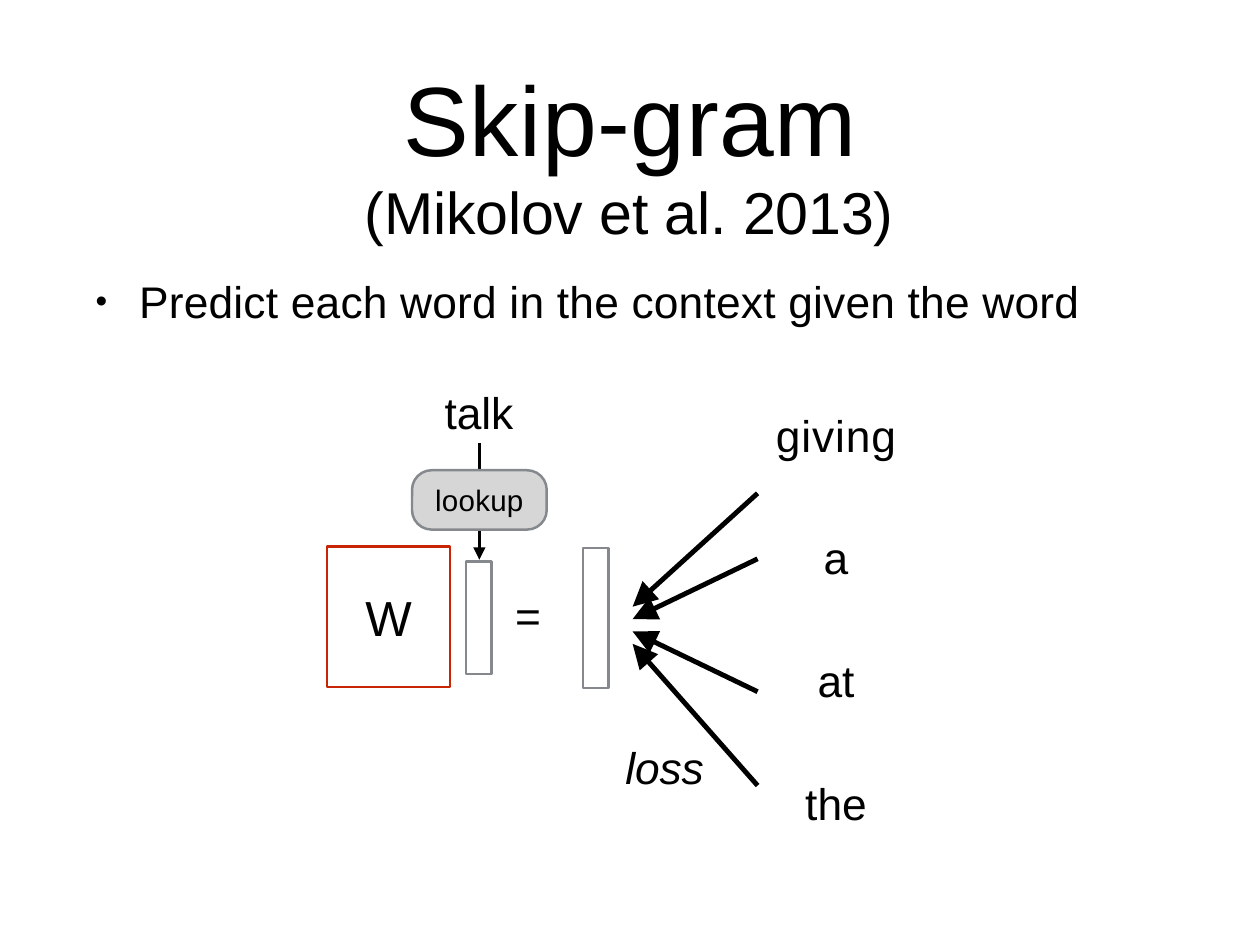
from dataclasses import dataclass

import pptx
import pptx.util
import pptx.dml.color
import pptx.enum.shapes
import pptx.enum.text
import pptx.oxml.ns
from lxml import etree
from pptx.util import Inches


@dataclass(frozen=True)
class Theme:
    font: str = "Arial"
    ink: str = "000000"
    grey: str = "85888D"
    pale: str = "D6D6D6"
    red: str = "C82506"
    white: str = "FFFFFF"
    title: int = 80
    citation: int = 48
    body: int = 36
    matrix: int = 40
    step: int = 24
    lead: float = 0.09
    thin: int = 2
    thick: int = 4


THEME = Theme()


def color(value):
    return pptx.dml.color.RGBColor.from_string(value)


def place(shape, left, top, width, height):
    shape.left, shape.top = Inches(left), Inches(top)
    shape.width, shape.height = Inches(width), Inches(height)


def write(shape, text, size, spacing=0, italic=False, centered=True, middle=False):
    frame = shape.text_frame
    frame.text = text
    frame.auto_size = pptx.enum.text.MSO_AUTO_SIZE.NONE
    frame.margin_left = frame.margin_right = frame.margin_bottom = 0
    frame.margin_top = 0 if middle else pptx.util.Pt(size * THEME.lead)
    anchors = pptx.enum.text.MSO_ANCHOR
    frame.vertical_anchor = anchors.MIDDLE if middle else anchors.TOP
    paragraph = frame.paragraphs[0]
    alignments = pptx.enum.text.PP_ALIGN
    paragraph.alignment = alignments.CENTER if centered else alignments.LEFT
    paragraph.space_before = pptx.util.Pt(0)
    run = paragraph.runs[0]
    run.font.name = THEME.font
    run.font.size = pptx.util.Pt(size)
    run.font.italic = italic
    run.font.color.rgb = color(THEME.ink)
    run._r.get_or_add_rPr().set("spc", str(round(spacing * 100)))
    return paragraph


def add_label(slide, text, box, size=THEME.body, **style):
    label = slide.shapes.add_textbox(*map(Inches, box))
    write(label, text, size, **style)


def add_bullet_line(placeholder, text):
    paragraph = write(placeholder, text, THEME.body, spacing=0.2, centered=False)
    properties = paragraph._p.get_or_add_pPr()
    properties.set("marL", str(Inches(0.49)))
    properties.set("indent", str(-Inches(0.49)))
    for tag, name, value in (("a:buSzPct", "val", "75000"),
                             ("a:buFont", "typeface", THEME.font),
                             ("a:buChar", "char", "•")):
        etree.SubElement(properties, pptx.oxml.ns.qn(tag)).set(name, value)


def add_block(slide, box, outline, fill=None, rounding=None):
    kinds = pptx.enum.shapes.MSO_SHAPE
    kind = kinds.ROUNDED_RECTANGLE if rounding else kinds.RECTANGLE
    block = slide.shapes.add_shape(kind, *map(Inches, box))
    block.shadow.inherit = False
    if rounding:
        block.adjustments[0] = rounding
    if fill:
        block.fill.solid()
        block.fill.fore_color.rgb = color(fill)
    else:
        block.fill.background()
    block.line.color.rgb = color(outline)
    block.line.width = pptx.util.Pt(THEME.thin)
    return block


def add_arrow(slide, start, end, weight):
    arrow = slide.shapes.add_connector(
        pptx.enum.shapes.MSO_CONNECTOR.STRAIGHT, *map(Inches, (*start, *end)))
    arrow.line.color.rgb = color(THEME.ink)
    arrow.line.width = pptx.util.Pt(weight)
    head = etree.SubElement(arrow.line._get_or_add_ln(), pptx.oxml.ns.qn("a:tailEnd"))
    for name, value in (("type", "triangle"), ("w", "lg"), ("len", "lg")):
        head.set(name, value)
    etree.SubElement(arrow._element.spPr, pptx.oxml.ns.qn("a:effectLst"))


def add_lookup(slide):
    add_label(slide, "talk", (5, 4.31, 0.81, 0.63), spacing=-0.1)
    add_arrow(slide, (5.41, 5), (5.41, 6.32), THEME.thin)
    lookup = add_block(slide, (4.65, 5.31, 1.52, 0.67), THEME.grey, THEME.pale, 0.33)
    write(lookup, "lookup", THEME.step, spacing=0.2, middle=True)


def add_product(slide):
    matrix = add_block(slide, (3.69, 6.17, 1.39, 1.59), THEME.red, THEME.white)
    write(matrix, "W", THEME.matrix, middle=True)
    add_block(slide, (5.26, 6.34, 0.29, 1.27), THEME.grey)
    add_label(slide, "=", (5.78, 6.6, 0.36, 0.63))
    add_block(slide, (6.58, 6.19, 0.29, 1.58), THEME.grey)


def add_context(slide):
    context = (("giving", 0.7, 5.57), ("a", 0, 6.31), ("at", 0, 7.81), ("the", 0, 8.87))
    for index, (word, spacing, arrow_top) in enumerate(context):
        add_label(slide, word, (8.74, 4.56 + 1.387 * index, 1.39, 0.63), spacing=spacing)
        add_arrow(slide, (8.55, arrow_top), (7.14, 6.85 + 0.14 * index), THEME.thick)
    add_label(slide, "loss", (7.04, 8.31, 0.92, 0.63), italic=True, spacing=-0.1)


def main():
    deck = pptx.Presentation()
    deck.slide_width, deck.slide_height = Inches(14.22), Inches(10.67)
    slide = deck.slides.add_slide(deck.slide_layouts[1])
    title, body = slide.placeholders
    place(title, 4.54, 0.56, 5.15, 1.36)
    title.text_frame.word_wrap = False
    write(title, "Skip-gram", THEME.title, spacing=0.5)
    add_label(slide, "(Mikolov et al. 2013)", (4.1, 1.92, 6, 0.85),
              THEME.citation, spacing=-0.1)
    place(body, 1.08, 3.05, 11.16, 0.63)
    add_bullet_line(body, "Predict each word in the context given the word")
    add_lookup(slide)
    add_product(slide)
    add_context(slide)
    deck.save("out.pptx")


if __name__ == "__main__":
    main()
